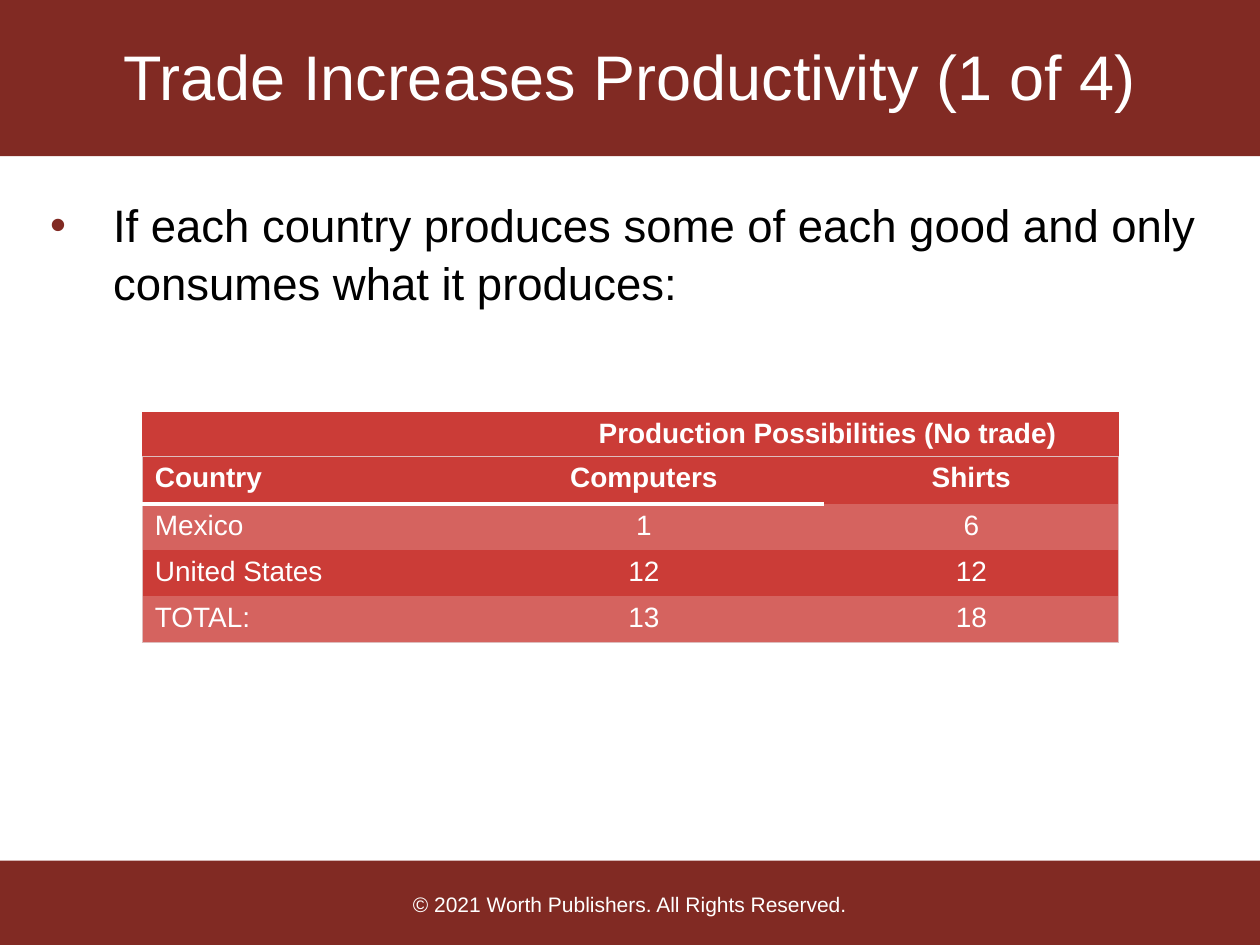
from dataclasses import dataclass

import pptx
import pptx.dml.color
import pptx.enum.shapes
import pptx.enum.text
import pptx.oxml
import pptx.oxml.ns
import pptx.util
from pptx.util import Cm

ALIGN = pptx.enum.text.PP_ALIGN
ANCHOR = pptx.enum.text.MSO_ANCHOR
MAROON, WHITE, BLACK = "812A23", "FFFFFF", "000000"
RED, LIGHT_RED, PALE_PINK = "CB3C37", "D5635F", "DEBDBD"
NO_STYLE = "{2D5ABB26-0587-4C30-8999-92F81FD0307C}"


@dataclass(frozen=True)
class Box:
    left: float
    top: float
    width: float
    height: float

    def lengths(self):
        return [Cm(v) for v in (self.left, self.top, self.width, self.height)]


@dataclass(frozen=True)
class TextStyle:
    size: float
    color: str = WHITE
    bold: bool = False
    align: ALIGN = ALIGN.CENTER


@dataclass(frozen=True)
class Border:
    color: str
    points: float


THIN = Border(PALE_PINK, 0.75)
THICK = Border(WHITE, 3)


def rgb(color: str) -> pptx.dml.color.RGBColor:
    return pptx.dml.color.RGBColor.from_string(color)


def write(paragraph, text: str, style: TextStyle) -> None:
    paragraph.alignment = style.align
    run = paragraph.add_run()
    run.text = text
    run.font.name = "Arial"
    run.font.size = pptx.util.Pt(style.size)
    run.font.bold = style.bold
    run.font.color.rgb = rgb(style.color)


def add_band(slide, box: Box) -> None:
    band = slide.shapes.add_shape(
        pptx.enum.shapes.MSO_SHAPE.RECTANGLE, *box.lengths())
    band.shadow.inherit = False
    band.fill.solid()
    band.fill.fore_color.rgb = rgb(MAROON)
    band.line.fill.background()


def add_text(slide, box: Box, text: str, style: TextStyle, anchor=ANCHOR.MIDDLE):
    frame = slide.shapes.add_textbox(*box.lengths()).text_frame
    frame.word_wrap = True
    frame.vertical_anchor = anchor
    write(frame.paragraphs[0], text, style)
    return frame.paragraphs[0]


def add_bullet(paragraph, color: str, indent: pptx.util.Length) -> None:
    properties = paragraph._p.get_or_add_pPr()
    properties.set("marL", str(indent))
    properties.set("indent", str(-indent))
    namespace = pptx.oxml.ns.nsdecls("a")
    for xml in (
        f'<a:buClr {namespace}><a:srgbClr val="{color}"/></a:buClr>',
        f'<a:buFont {namespace} typeface="Arial"/>',
        f'<a:buChar {namespace} char="•"/>',
    ):
        properties.append(pptx.oxml.parse_xml(xml))


def set_borders(cell, borders: dict[str, Border]) -> None:
    """Draw the given sides, keyed L, R, T and B in schema order."""
    properties = cell._tc.get_or_add_tcPr()
    for position, (side, border) in enumerate(borders.items()):
        properties.insert(position, pptx.oxml.parse_xml(
            f'<a:ln{side} {pptx.oxml.ns.nsdecls("a")} '
            f'w="{pptx.util.Pt(border.points)}"><a:solidFill>'
            f'<a:srgbClr val="{border.color}"/></a:solidFill></a:ln{side}>'))


def fill_cell(cell, text: str, fill: str, style: TextStyle) -> None:
    cell.fill.solid()
    cell.fill.fore_color.rgb = rgb(fill)
    write(cell.text_frame.paragraphs[0], text, style)


def add_table(slide, left: float, top: float, widths: list[float],
              heights: list[float]):
    box = Box(left, top, sum(widths), sum(heights))
    table = slide.shapes.add_table(
        len(heights), len(widths), *box.lengths()).table
    table._tbl.tblPr.find(pptx.oxml.ns.qn("a:tableStyleId")).text = NO_STYLE
    table.first_row = table.horz_banding = False
    for column, width in zip(table.columns, widths):
        column.width = Cm(width)
    for row, height in zip(table.rows, heights):
        row.height = Cm(height)
    return table


def add_production_table(slide, left: float, top: float) -> None:
    production = [
        ("Country", "Computers", "Shirts"),
        ("Mexico", "1", "6"),
        ("United States", "12", "12"),
        ("TOTAL:", "13", "18"),
    ]
    table = add_table(slide, left, top, [6.48, 7.26, 5.94], [0.96] + [0.88] * 3)
    last_row, last_column = len(production) - 1, len(production[0]) - 1
    for r, entries in enumerate(production):
        for c, entry in enumerate(entries):
            cell = table.cell(r, c)
            align = ALIGN.CENTER if c else ALIGN.LEFT
            fill_cell(cell, entry, LIGHT_RED if r % 2 else RED,
                      TextStyle(16, bold=r == 0, align=align))
            borders = {}
            if c == 0:
                borders["L"] = THIN
            if c == last_column:
                borders["R"] = THIN
            if r == 0:
                borders["T"] = THIN
                if c < last_column:
                    borders["B"] = THICK
            if r == last_row:
                borders["B"] = THIN
            set_borders(cell, borders)


def main() -> None:
    presentation = pptx.Presentation()
    presentation.slide_width, presentation.slide_height = Cm(25.4), Cm(19.05)
    slide = presentation.slides.add_slide(presentation.slide_layouts[6])

    add_band(slide, Box(0, 0, 25.4, 3.15))
    add_band(slide, Box(0, 17.35, 25.4, 1.7))
    add_text(slide, Box(0, 17.42, 25.4, 1.63),
             "© 2021 Worth Publishers. All Rights Reserved.", TextStyle(12))
    add_text(slide, Box(0, 0.05, 25.4, 2.95),
             "Trade Increases Productivity (1 of 4)", TextStyle(36))

    premise = add_text(
        slide, Box(0.76, 3.8, 23.85, 2.6),
        "If each country produces some of each good and only consumes "
        "what it produces:",
        TextStyle(26, BLACK, align=ALIGN.LEFT), ANCHOR.TOP)
    premise.line_spacing = 1.05
    add_bullet(premise, MAROON, Cm(1.27))

    table_left = 2.87
    heading = add_table(slide, table_left, 8.3, [19.68], [0.94]).cell(0, 0)
    heading.margin_left = Cm(8.2)
    fill_cell(heading, "Production Possibilities (No trade)", RED,
              TextStyle(16, bold=True))
    add_production_table(slide, table_left, 9.2)

    presentation.save("out.pptx")


if __name__ == "__main__":
    main()
